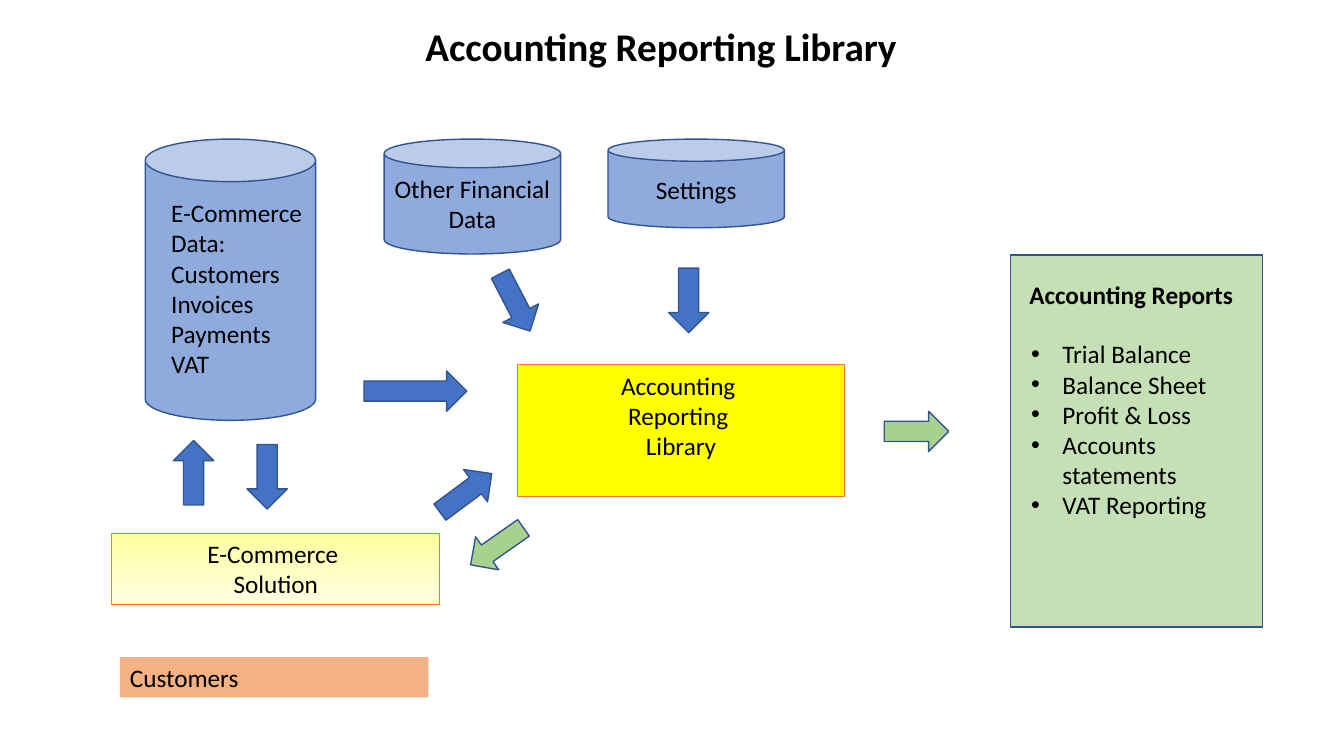
from pptx import Presentation
from pptx.dml.color import RGBColor
from pptx.enum.shapes import MSO_SHAPE
from pptx.enum.text import MSO_ANCHOR, PP_ALIGN
from pptx.oxml import parse_xml
from pptx.oxml.ns import nsdecls
from pptx.util import Inches, Pt

THEME = {
    "font": "Calibri", "title": 28, "body": 18, "text": "000000",
    "store": "8FAADC", "flow": "4472C4", "outline": "325491",
    "library": "FFFF00", "solution": ("FFFFA0", "FFFFE3"), "accent": "ED7D31",
    "result": "A9D18E", "reports": "C5E0B4", "customers": "F4B183",
}


def color(name):
    return RGBColor.from_string(THEME[name])


def write(tf, paragraphs, size="body", bold=False, align=PP_ALIGN.LEFT,
          anchor=MSO_ANCHOR.TOP, bullet=False):
    tf.word_wrap = True
    tf.vertical_anchor = anchor
    font_format = {"name": THEME["font"], "size": Pt(THEME[size]), "bold": bold}
    for i, text in enumerate(paragraphs):
        p = tf.paragraphs[0] if i == 0 else tf.add_paragraph()
        p.text = text
        p.alignment = align
        for r in p.runs:
            for key, value in font_format.items():
                setattr(r.font, key, value)
            r.font.color.rgb = color("text")
        if bullet:
            pPr = p._p.get_or_add_pPr()
            pPr.set("marL", str(Inches(0.31)))
            pPr.set("indent", str(-Inches(0.31)))
            pPr.append(parse_xml(f'<a:buFont {nsdecls("a")} typeface="Arial"/>'))
            pPr.append(parse_xml(f'<a:buChar {nsdecls("a")} char="•"/>'))


def add_text(s, box, paragraphs, **format_values):
    sp = s.shapes.add_textbox(*map(Inches, box))
    write(sp.text_frame, paragraphs, **format_values)


def add_block(s, kind, box, fill, line="outline", width=1, rotation=0):
    sp = s.shapes.add_shape(kind, *map(Inches, box))
    sp.shadow.inherit = False
    sp.rotation = rotation
    if isinstance(THEME[fill], tuple):
        sp.fill.gradient()
        sp.fill.gradient_angle = 270
        for stop, value in zip(sp.fill.gradient_stops, THEME[fill]):
            stop.color.rgb = RGBColor.from_string(value)
    else:
        sp.fill.solid()
        sp.fill.fore_color.rgb = color(fill)
    if line:
        sp.line.color.rgb = color(line)
        sp.line.width = Pt(width)
    else:
        sp.line.fill.background()
    return sp


def add_title(s, box):
    add_text(s, box, ["Accounting Reporting Library "], size="title", bold=True)


def add_stores(s, box):
    """Data stores, aligned along the top of the box."""
    x, y, w, h = box
    add_block(s, MSO_SHAPE.CAN, (x, y, 1.69, h), "store")
    add_text(s, (x + 0.16, y + 0.53, 1.53, 1.73),
             ["E-Commerce\nData:\nCustomers\nInvoices\nPayments", "VAT"])
    small = [("Other Financial Data", 2.37, 1.14), ("Settings", w - 1.75, 0.88)]
    for text, dx, height in small:
        sp = add_block(s, MSO_SHAPE.CAN, (x + dx, y, 1.75, height), "store")
        write(sp.text_frame, [text], align=PP_ALIGN.CENTER, anchor=MSO_ANCHOR.MIDDLE)


def add_process(s, box, text, fill, line="accent", align=PP_ALIGN.CENTER):
    sp = add_block(s, MSO_SHAPE.RECTANGLE, box, fill, line, 0.75)
    write(sp.text_frame, [text], align=align)


def add_reports(s, box):
    """Panel with a heading and a bulleted list."""
    x, y, w, h = box
    add_block(s, MSO_SHAPE.RECTANGLE, box, "reports")
    add_text(s, (x + 0.09, y + 0.19, w - 0.28, 0.4), ["Accounting Reports"], bold=True)
    add_text(s, (x + 0.11, y + 0.78, w - 0.24, 1.92),
             ["Trial Balance", "Balance Sheet", "Profit & Loss",
              "Accounts statements", "VAT Reporting"], bullet=True)


def add_flows(s, box):
    """Arrows: offset from the box corner, length, clockwise turn from up, fill."""
    x, y = box[:2]
    flows = [
        (0, 1.71, 0.64, 0, "flow"),           # solution to store
        (0.73, 1.75, 0.64, 180, "flow"),      # store to solution
        (2.2, 0.71, 1.02, 90, "flow"),        # store to library
        (3.19, 0.02, 0.64, 152.6, "flow"),    # other data to library
        (4.91, 0, 0.64, 180, "flow"),         # settings to library
        (2.7, 1.91, 0.64, 53.4, "flow"),      # solution to library
        (3.01, 2.44, 0.64, 235, "result"),    # library to solution
        (7.17, 1.3, 0.64, 90, "result"),      # library to reports
    ]
    for dx, dy, length, turn, fill in flows:
        add_block(s, MSO_SHAPE.UP_ARROW, (x + dx, y + dy, 0.4, length), fill, rotation=turn)


prs = Presentation()
prs.slide_width, prs.slide_height = Inches(13.33), Inches(7.5)
s = prs.slides.add_slide(prs.slide_layouts[6])

add_title(s, (4.12, 0.17, 4.98, 0.57))
add_stores(s, (1.44, 1.38, 6.34, 2.79))
add_process(s, (5.13, 3.62, 3.25, 1.31), "Accounting \nReporting \nLibrary", "library")
add_process(s, (1.11, 5.29, 3.25, 0.71), "E-Commerce \nSolution", "solution")
add_process(s, (1.19, 6.52, 3.06, 0.4), "Customers", "customers", None, PP_ALIGN.LEFT)
add_reports(s, (10.02, 2.53, 2.5, 3.69))
add_flows(s, (1.72, 2.66, 7.57, 3.08))

prs.save("out.pptx")
